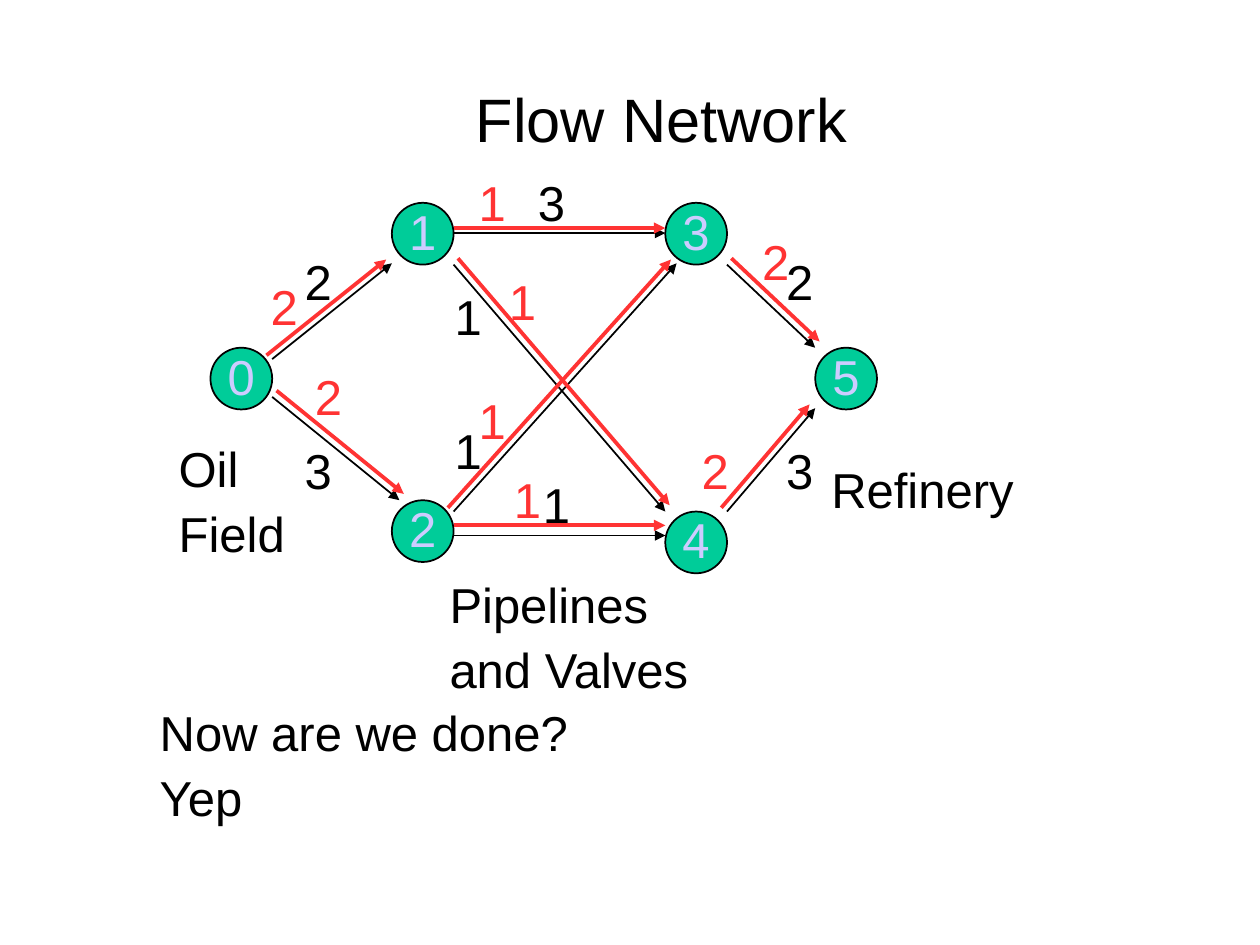
"""Build the flow network slide: numbered stations, pipe capacities and flows."""
from dataclasses import dataclass

import lxml.etree
import pptx
import pptx.dml.color
import pptx.enum.shapes
import pptx.enum.text
import pptx.oxml.ns
import pptx.util

RGBColor = pptx.dml.color.RGBColor
BLACK = RGBColor(0x00, 0x00, 0x00)
RED = RGBColor(0xFF, 0x33, 0x33)
GREEN = RGBColor(0x00, 0xCC, 0x99)
LAVENDER = RGBColor(0xCC, 0xCC, 0xFF)

COLUMNS = 100
NODE_SIZE = 4.9
LABEL_SIZE = (5.9, 5.7)
BODY_POINTS = 28
RISING = (-0.45, -0.3)
FALLING = (0.35, -0.5)

Pair = tuple[float, float]


@dataclass(frozen=True)
class Station:
    """A numbered node, placed by its top left corner in grid columns and rows."""

    number: int
    column: float
    row: float


@dataclass(frozen=True)
class Pipe:
    """A pipe with its capacity, its flow and the shift of the flow arrow."""

    start: Pair
    end: Pair
    shift: Pair
    capacity: int
    capacity_at: Pair
    flow: int
    flow_at: Pair


@dataclass(frozen=True)
class Caption:
    """A body text box in grid columns and rows."""

    text: str
    at: Pair
    size: Pair


STATIONS = [
    Station(0, 16.7, 27.6),
    Station(1, 31.1, 16.1),
    Station(2, 31.1, 39.7),
    Station(3, 52.8, 16.1),
    Station(4, 52.8, 40.6),
    Station(5, 64.7, 27.6),
]
PIPES = [
    Pipe((21.6, 28.5), (31.1, 20.9), RISING, 2, (23.1, 20), 2, (20.4, 22)),
    Pipe((21.6, 31.5), (31.7, 39.7), FALLING, 3, (23.1, 35), 2, (23.9, 29.1)),
    Pipe((36, 18.5), (52.8, 18.5), (0, -0.4), 3, (41.6, 13.7), 1, (36.9, 13.7)),
    Pipe((36, 21), (52.8, 40.6), FALLING, 1, (35, 22.8), 1, (39.3, 21.6)),
    Pipe((36, 40.6), (53.7, 20.9), RISING, 1, (35, 33.4), 1, (36.9, 31)),
    Pipe((36, 42.5), (52.8, 42.5), (0, -0.8), 1, (42, 37.7), 1, (39.7, 37.3)),
    Pipe((57.7, 21), (64.7, 27.6), FALLING, 2, (61.3, 20), 2, (59.4, 18.4)),
    Pipe((57.7, 40.6), (64.7, 32.4), RISING, 3, (61.3, 35), 2, (54.6, 35)),
]
CAPTIONS = [
    Caption("Now are we done?\nYep", (11.6, 55.8), (71.7, 7.6)),
    Caption("Refinery", (64.9, 36.5), (18.6, 6)),
    Caption("Oil\nField", (13.1, 34.8), (17.8, 12.2)),
    Caption("Pipelines\nand Valves", (34.6, 45.6), (26, 12)),
]

presentation = pptx.Presentation()
presentation.slide_width = pptx.util.Inches(10)
presentation.slide_height = pptx.util.Inches(7.5)
slide = presentation.slides.add_slide(presentation.slide_layouts[6])
CELL = presentation.slide_width / COLUMNS


def grid(*lengths: float) -> list[int]:
    """Turn grid lengths into slide lengths."""
    return [round(length * CELL) for length in lengths]


def write(frame, text: str, points: float, color: RGBColor, spacing: float) -> None:
    """Fill a text frame and format its runs."""
    frame.text = text
    for paragraph in frame.paragraphs:
        paragraph.line_spacing = spacing
        for run in paragraph.runs:
            run.font.name = "Arial"
            run.font.size = pptx.util.Pt(points)
            run.font.color.rgb = color


def hang(paragraph, margin: float, indent: float) -> None:
    """Give a paragraph a left margin and a first-line indent in grid columns."""
    properties = paragraph._p.get_or_add_pPr()
    for key, length in zip(("marL", "indent"), grid(margin, indent)):
        properties.set(key, str(length))


def draw_title(text: str) -> None:
    """Draw the centred slide title."""
    frame = slide.shapes.add_textbox(*grid(7.5, 5.2, 85, 8.3)).text_frame
    frame.word_wrap = True
    frame.vertical_anchor = pptx.enum.text.MSO_ANCHOR.MIDDLE
    write(frame, text, 35, BLACK, 1.0)
    heading = frame.paragraphs[0]
    heading.alignment = pptx.enum.text.PP_ALIGN.CENTER
    hang(heading, 8.1, -3.1)


def draw_caption(caption: Caption, color: RGBColor = BLACK) -> None:
    """Draw a body text box with hanging paragraphs."""
    frame = slide.shapes.add_textbox(*grid(*caption.at, *caption.size)).text_frame
    frame.word_wrap = True
    write(frame, caption.text, BODY_POINTS, color, 0.9)
    for index, paragraph in enumerate(frame.paragraphs):
        hang(paragraph, 3.8, -3.7)
        paragraph.space_before = pptx.util.Pt(7 if index else 0)


def draw_station(station: Station) -> None:
    """Draw a numbered circle."""
    circle = slide.shapes.add_shape(
        pptx.enum.shapes.MSO_SHAPE.OVAL,
        *grid(station.column, station.row, NODE_SIZE, NODE_SIZE),
    )
    circle.shadow.inherit = False
    circle.fill.solid()
    circle.fill.fore_color.rgb = GREEN
    circle.line.color.rgb = BLACK
    circle.line.width = pptx.util.Pt(1)
    frame = circle.text_frame
    frame.word_wrap = False
    frame.vertical_anchor = pptx.enum.text.MSO_ANCHOR.MIDDLE
    write(frame, str(station.number), BODY_POINTS, LAVENDER, 0.93)
    frame.paragraphs[0].alignment = pptx.enum.text.PP_ALIGN.CENTER


def draw_arrow(start: Pair, end: Pair, color: RGBColor, points: float) -> None:
    """Draw a straight arrow between two grid points."""
    arrow = slide.shapes.add_connector(
        pptx.enum.shapes.MSO_CONNECTOR.STRAIGHT, *grid(*start, *end)
    )
    arrow.line.color.rgb = color
    arrow.line.width = pptx.util.Pt(points)
    qn = pptx.oxml.ns.qn
    lxml.etree.SubElement(arrow.line._get_or_add_ln(), qn("a:tailEnd"), type="triangle")
    lxml.etree.SubElement(arrow._element.spPr, qn("a:effectLst"))


def draw_capacity(pipe: Pipe) -> None:
    """Draw a pipe's black arrow and capacity."""
    draw_arrow(pipe.start, pipe.end, BLACK, 1)
    draw_caption(Caption(str(pipe.capacity), pipe.capacity_at, LABEL_SIZE))


def draw_flow(pipe: Pipe) -> None:
    """Draw a pipe's red arrow beside the black one, and its flow."""
    across, down = pipe.shift
    start, end = ((x + across, y + down) for x, y in (pipe.start, pipe.end))
    draw_arrow(start, end, RED, 2.15)
    draw_caption(Caption(str(pipe.flow), pipe.flow_at, LABEL_SIZE), RED)


def main() -> None:
    """Draw the slide and save it."""
    draw_title("Flow Network")
    for station in STATIONS:
        draw_station(station)
    for caption in CAPTIONS:
        draw_caption(caption)
    for pipe in PIPES:
        draw_capacity(pipe)
    for pipe in PIPES:
        draw_flow(pipe)
    presentation.save("out.pptx")


if __name__ == "__main__":
    main()
